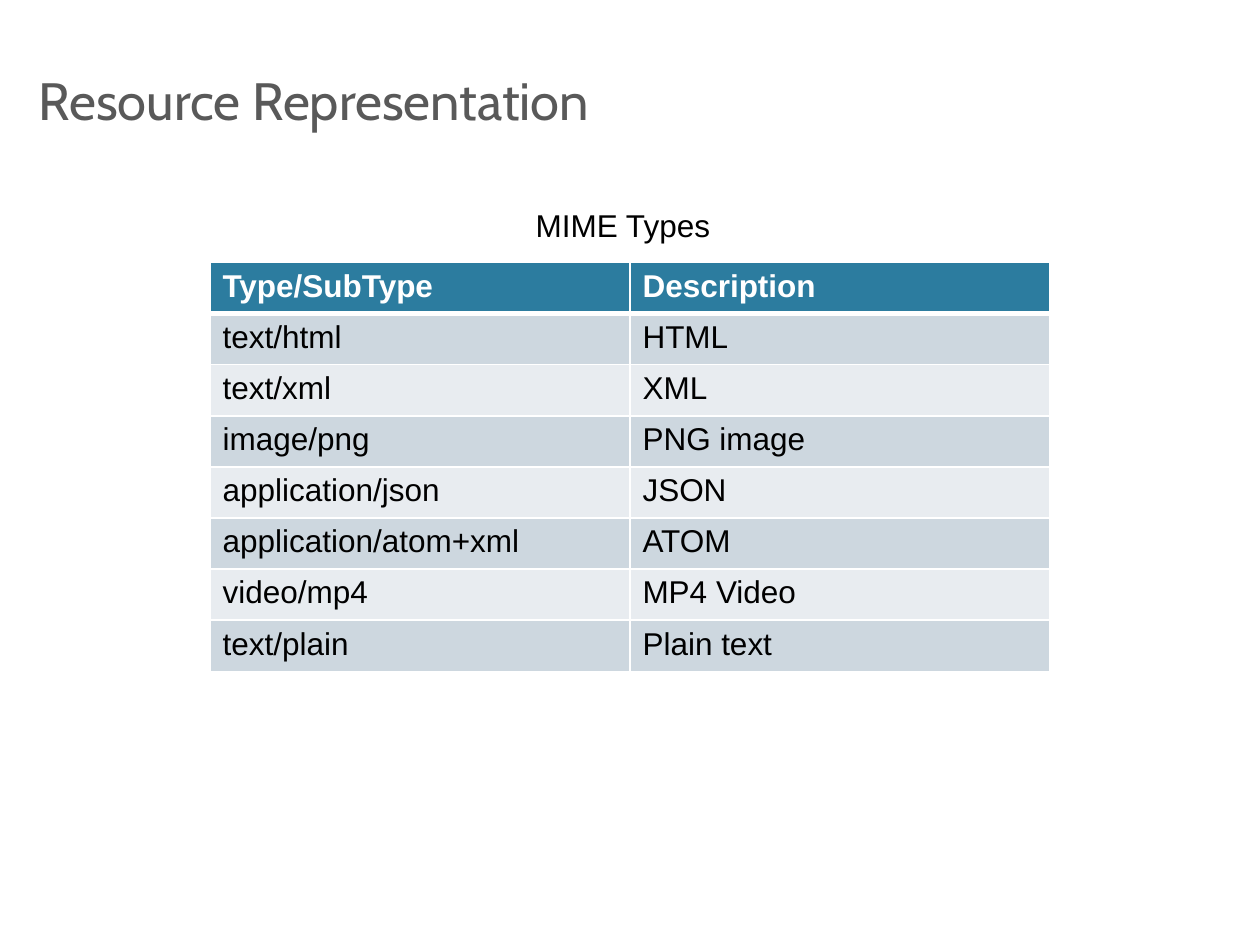
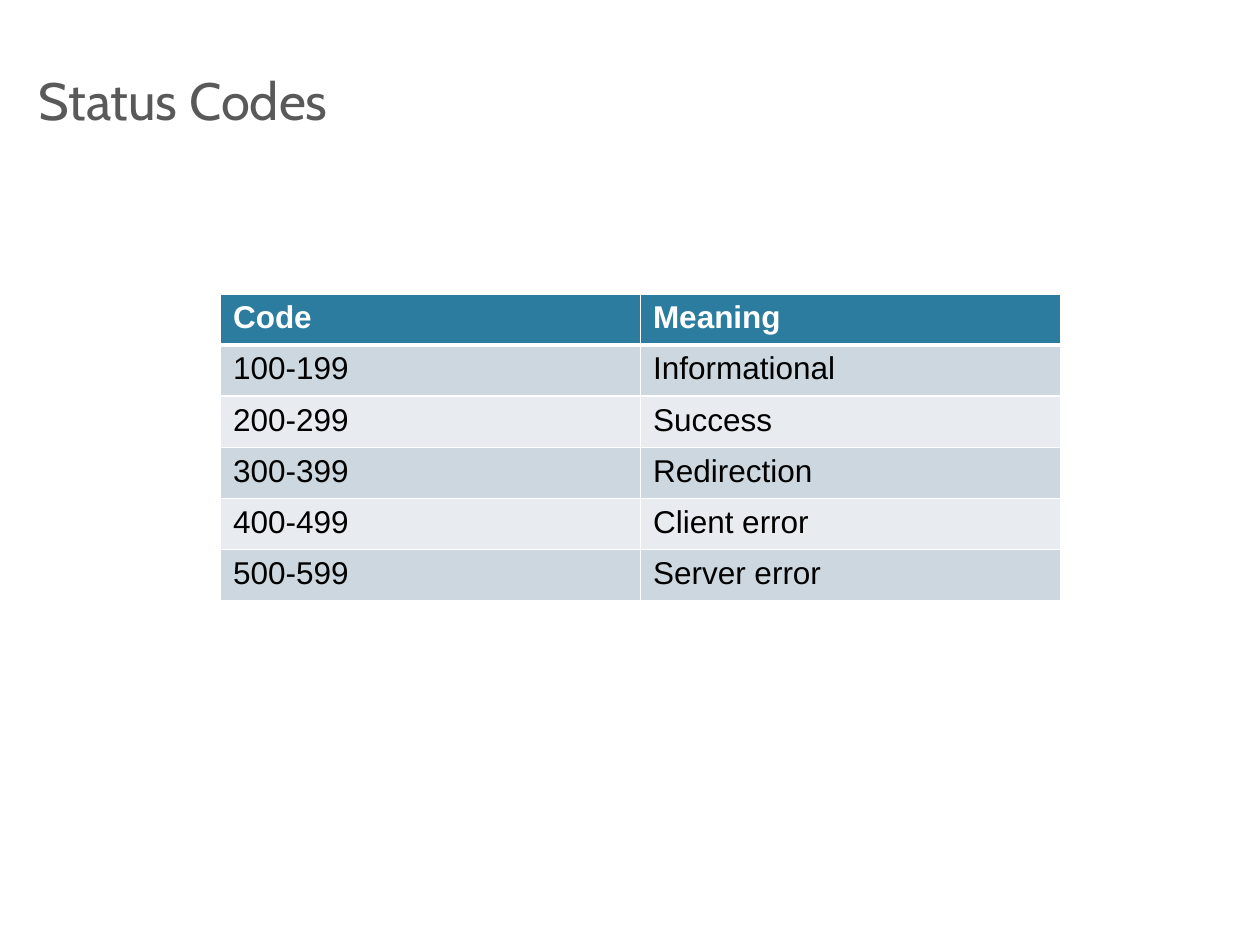
import pptx
import pptx.dml.color
import pptx.enum.text
import pptx.oxml
import pptx.oxml.ns
import pptx.util

Pt = pptx.util.Pt
MIDDLE = pptx.enum.text.MSO_ANCHOR.MIDDLE
TOP = pptx.enum.text.MSO_ANCHOR.TOP

GREY, BLACK, WHITE = "595959", "000000", "FFFFFF"
HEAD, BANDS = "2C7C9F", ("E8ECF0", "CDD7DF")
COL_W, ROW_H = 240, 29.2

SLIDES = [
    ("Resource Representation", "MIME Types", (120, 150), [
        ("Type/SubType", "Description"),
        ("text/html", "HTML"),
        ("text/xml", "XML"),
        ("image/png", "PNG image"),
        ("application/json", "JSON"),
        ("application/atom+xml", "ATOM"),
        ("video/mp4", "MP4 Video"),
        ("text/plain", "Plain text"),
    ]),
    ("Status Codes", None, (126, 168), [
        ("Code", "Meaning"),
        ("100-199", "Informational"),
        ("200-299", "Success"),
        ("300-399", "Redirection"),
        ("400-499", "Client error"),
        ("500-599", "Server error"),
    ]),
]


def rgb(code):
    return pptx.dml.color.RGBColor.from_string(code)


def write(frame, text, size=18, face="Arial", color=BLACK, bold=False):
    """Add one styled run to the first paragraph of a text frame."""
    run = frame.paragraphs[0].add_run()
    run.text = text
    font = run.font
    font.size, font.name, font.bold = Pt(size), face, bold
    font.color.rgb = rgb(color)


deck = pptx.Presentation()
deck.slide_width, deck.slide_height = Pt(720), Pt(540)

for title, label, (left, top), rows in SLIDES:
    slide = deck.slides.add_slide(deck.slide_layouts[6])
    slide.background.fill.solid()
    slide.background.fill.fore_color.rgb = rgb(WHITE)

    frame = slide.shapes.add_textbox(Pt(15), Pt(8.75), Pt(690), Pt(96.5)).text_frame
    frame.word_wrap = True
    frame.vertical_anchor = MIDDLE
    write(frame, title, 30, "Cabin", GREY)

    table = slide.shapes.add_table(len(rows), 2, Pt(left), Pt(top),
                                   Pt(2 * COL_W), Pt(len(rows) * ROW_H)).table
    table.horz_banding = False
    for col in table.columns:
        col.width = Pt(COL_W)
    for r, row in enumerate(rows):
        table.rows[r].height = Pt(ROW_H)
        for c, text in enumerate(row):
            cell = table.cell(r, c)
            cell.vertical_anchor = TOP
            write(cell.text_frame, text, color=BLACK if r else WHITE, bold=r == 0)

            # Thin white grid, with a thick rule between header and body
            widths = {"L": 1, "R": 1, "T": 3 if r == 1 else 1, "B": 1 if r else 3}
            props = cell._tc.get_or_add_tcPr()
            for side, width in widths.items():
                props.append(pptx.oxml.parse_xml(
                    f'<a:ln{side} {pptx.oxml.ns.nsdecls("a")} w="{Pt(width)}">'
                    f'<a:solidFill><a:srgbClr val="{WHITE}"/></a:solidFill>'
                    f'</a:ln{side}>'))
            cell.fill.solid()
            cell.fill.fore_color.rgb = rgb(BANDS[r % 2] if r else HEAD)

    if label:
        frame = slide.shapes.add_textbox(Pt(299), Pt(114), Pt(115), Pt(29)).text_frame
        frame.word_wrap = False
        frame.auto_size = pptx.enum.text.MSO_AUTO_SIZE.SHAPE_TO_FIT_TEXT
        write(frame, label)

deck.save("out.pptx")
